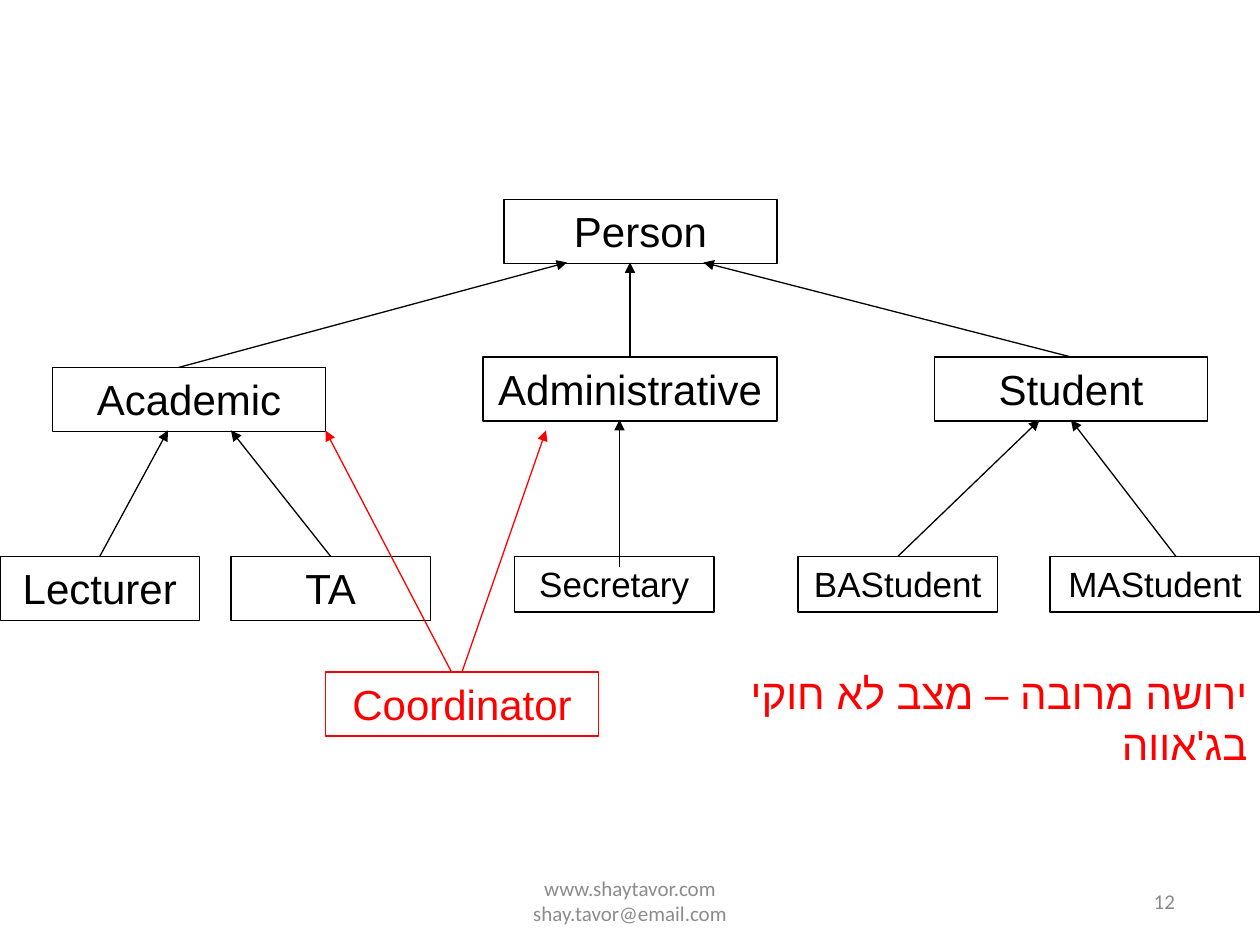
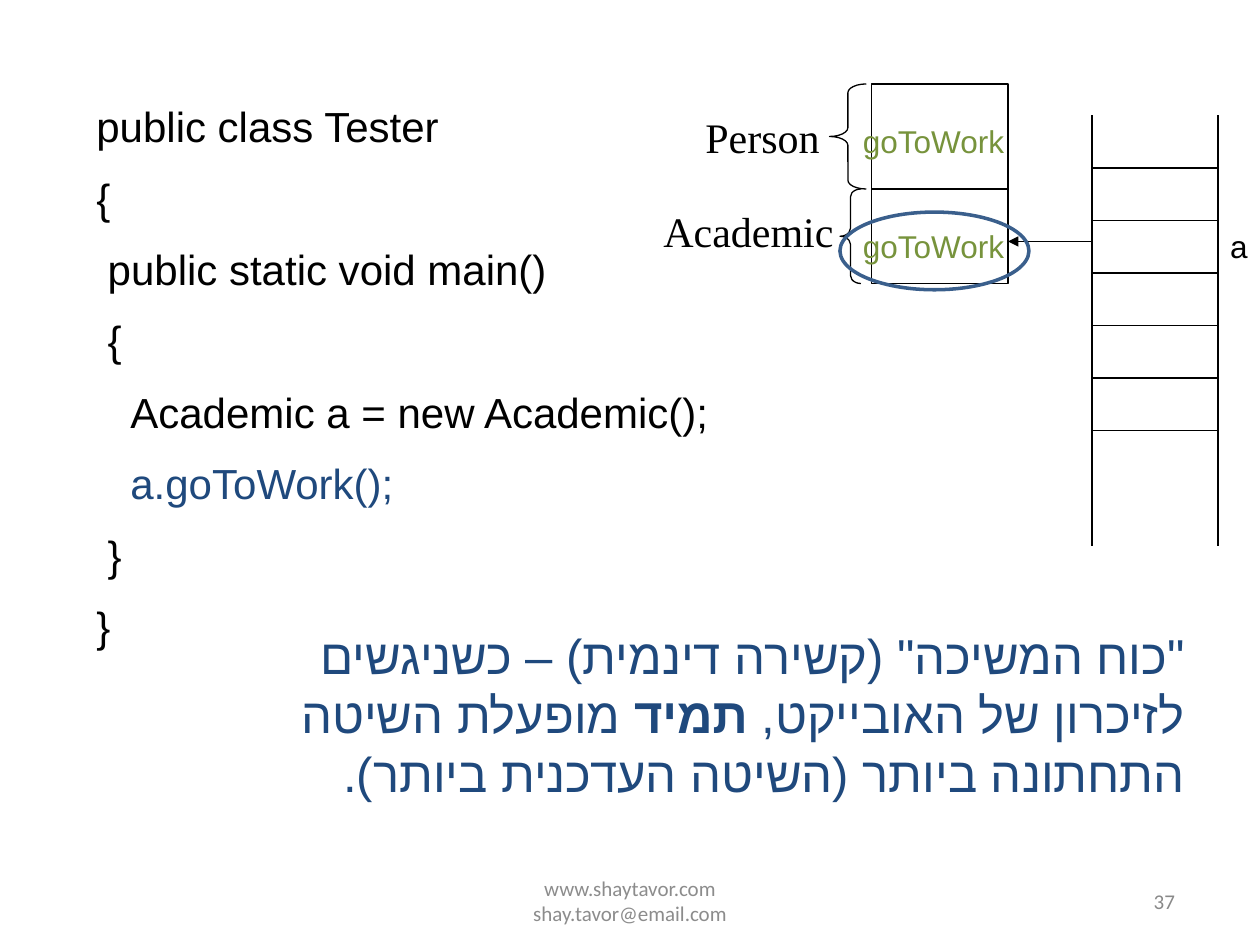
from dataclasses import dataclass

from lxml.etree import SubElement
from pptx import Presentation
from pptx.dml.color import RGBColor
from pptx.enum.shapes import MSO_CONNECTOR as Link, MSO_SHAPE as Shape
from pptx.enum.text import MSO_ANCHOR as Anchor, MSO_AUTO_SIZE as Fit, PP_ALIGN as Align
from pptx.oxml.ns import qn
from pptx.util import Inches, Pt


@dataclass(frozen=True)
class Theme:
    # Colours
    ink: str = "000000"
    paper: str = "FFFFFF"
    alert: str = "FF0000"
    navy: str = "1F497D"
    ring: str = "3A5F8C"
    green: str = "77933C"
    contact: str = "8C8C8C"
    number: str = "898989"
    # Fonts
    body: str = "Arial"
    footer: str = "Calibri"
    label: str = "Times New Roman"
    # Type sizes and line widths in points
    tiny: int = 12
    small: int = 18
    medium: int = 20
    normal: int = 24
    large: int = 28
    thin: float = 0.75
    thick: float = 2


THEME = Theme()
COLUMNS, ROWS = 120, 90
SPACE_WIDTH = 0.09
CONTACT = "www.shaytavor.com\nshay.tavor@email.com"


def write(frame, text, size=THEME.normal, font=THEME.body, color=THEME.ink,
          align=Align.LEFT, rtl=False, spaced=False, indent=0, more=False):
    """Write one paragraph; **marks** give bold and a newline gives a line break."""
    paragraph = frame.add_paragraph() if more else frame.paragraphs[0]
    paragraph.alignment = align
    props = paragraph._p.get_or_add_pPr()
    if rtl:
        props.set("rtl", "1")
    if indent:
        props.set("marL", str(Inches(indent)))
    if spaced:
        before = SubElement(props, qn("a:spcBef"))
        SubElement(before, qn("a:spcPct")).set("val", "50000")
    for row, line in enumerate(text.split("\n")):
        if row:
            paragraph.add_line_break()
        for part, words in enumerate(line.split("**")):
            run = paragraph.add_run()
            run.text = words
            run.font.size, run.font.name = Pt(size), font
            run.font.bold = part % 2 == 1
            run.font.color.rgb = RGBColor.from_string(color)
            SubElement(run._r.get_or_add_rPr(), qn("a:cs")).set("typeface", font)


class Deck:
    """Holds the theme and the current slide; lengths are grid columns and rows."""

    def __init__(self, theme):
        self.theme = theme
        self.show = Presentation()
        self.show.slide_width, self.show.slide_height = Inches(10), Inches(7.5)
        self.slide = None

    def grid(self, column, row):
        return (round(self.show.slide_width * column / COLUMNS),
                round(self.show.slide_height * row / ROWS))

    def page(self, number):
        self.slide = self.show.slides.add_slide(self.show.slide_layouts[6])
        small = dict(size=self.theme.tiny, font=self.theme.footer, rtl=True)
        self.text(41, 83.4, 38, 4.8, CONTACT, anchor=Anchor.MIDDLE, grow=False,
                  color=self.theme.contact, align=Align.CENTER, **small)
        self.text(108.7, 83.4, 5.3, 4.8, number, anchor=Anchor.MIDDLE, grow=False,
                  color=self.theme.number, **small)

    def text(self, x, y, w, h, words=None, anchor=Anchor.TOP, grow=True, **style):
        frame = self.slide.shapes.add_textbox(*self.grid(x, y), *self.grid(w, h)).text_frame
        frame.word_wrap = True
        frame.vertical_anchor = anchor
        frame.auto_size = Fit.SHAPE_TO_FIT_TEXT if grow else Fit.NONE
        if words:
            write(frame, words, **style)
        return frame

    def outline(self, kind, x, y, w, h, color=None, width=None, fill=None, adjust=None):
        figure = self.slide.shapes.add_shape(kind, *self.grid(x, y), *self.grid(w, h))
        figure.shadow.inherit = False
        if fill:
            figure.fill.solid()
            figure.fill.fore_color.rgb = RGBColor.from_string(fill)
        else:
            figure.fill.background()
        figure.line.color.rgb = RGBColor.from_string(color or self.theme.ink)
        figure.line.width = Pt(width or self.theme.thin)
        if adjust:
            figure.adjustments[0] = adjust
        return figure

    def class_box(self, name, x, y, w, size, color):
        height = 6.1 if size == self.theme.normal else 5.3
        box = self.outline(Shape.RECTANGLE, x, y, w, height, color)
        frame = box.text_frame
        frame.word_wrap = True
        frame.vertical_anchor = Anchor.TOP
        frame.auto_size = Fit.SHAPE_TO_FIT_TEXT
        write(frame, name, size=size, color=color, align=Align.CENTER, rtl=True, spaced=True)
        return box

    def line(self, start, end, color=None, arrow=False, source=None):
        """Draw a line; a source box makes it start at that box's top middle."""
        link = self.slide.shapes.add_connector(
            Link.STRAIGHT, *self.grid(*start), *self.grid(*end))
        if source is not None:
            link.begin_connect(source, 0)
        link.line.color.rgb = RGBColor.from_string(color or self.theme.ink)
        link.line.width = Pt(self.theme.thin)
        if arrow:
            SubElement(link.line._get_or_add_ln(), qn("a:tailEnd")).set("type", "triangle")
        SubElement(link._element.spPr, qn("a:effectLst"))


def inheritance_slide(deck):
    theme = deck.theme
    deck.page("12")

    # Classes: name, left, top, width, type size
    classes = [
        ("Person", 48, 19, 26, theme.normal),
        ("Student", 89, 34, 26, theme.normal),
        ("Administrative", 46, 34, 28, theme.normal),
        ("Academic", 5, 35, 26, theme.normal),
        ("TA", 22, 53, 19, theme.normal),
        ("Lecturer", 0, 53, 19, theme.normal),
        ("Secretary", 49, 53, 19, theme.medium),
        ("MAStudent", 100, 53, 20, theme.medium),
        ("BAStudent", 76, 53, 19, theme.medium),
        ("Coordinator", 31, 64, 26, theme.normal),
    ]
    boxes = {}
    for name, x, y, w, size in classes:
        color = theme.alert if name == "Coordinator" else theme.ink
        boxes[name] = deck.class_box(name, x, y, w, size, color)

    # Arrows to the parent class: start, end, box joined at its top middle
    parents = [
        ((60, 34), (60, 25), "Administrative"),
        ((17, 35), (54, 25), None),
        ((102, 34), (67, 25), "Student"),
        ((9, 53), (16, 41), "Lecturer"),
        ((31, 53), (22, 41), "TA"),
        ((59, 54), (59, 40), None),
        ((85, 53), (99, 40), "BAStudent"),
        ((112, 53), (102, 40), None),
    ]
    for start, end, child in parents:
        deck.line(start, end, arrow=True, source=boxes.get(child))

    # Forbidden double inheritance
    deck.line((44, 64), (52, 41), theme.alert, arrow=True, source=boxes["Coordinator"])
    deck.line((43, 64), (31, 41), theme.alert, arrow=True)
    deck.text(59, 63, 61, 6, "ירושה מרובה – מצב לא חוקי בג'אווה", color=theme.alert,
              align=Align.RIGHT, rtl=True, spaced=True)


def binding_slide(deck):
    theme = deck.theme
    deck.page("37")

    # Code, each line with its indent in spaces
    code = [
        (0, "public class Tester"), (0, "{"),
        (1, "public static void main()"), (1, "{"),
        (3, "Academic a = new Academic();"), (3, "a.goToWork();"),
        (1, "}"), (0, "}"),
    ]
    listing = deck.text(8, 9, 64, 57)
    for place, (spaces, words) in enumerate(code):
        write(listing, words, color=theme.navy if words.startswith("a.") else theme.ink,
              spaced=True, indent=spaces * SPACE_WIDTH, more=place > 0)

    # Stack memory
    stack_left, stack_right = 104, 116
    for side in (stack_right, stack_left):
        deck.line((side, 11), (side, 52))
    for level in range(16, 42, 5):
        deck.line((stack_left, level), (stack_right, level))
    deck.text(113, 21, 7, 4.8, "a", size=theme.small, align=Align.RIGHT, rtl=True, spaced=True)

    # Object in memory, one part per class
    deck.outline(Shape.RECTANGLE, 83, 8, 13, 19, fill=theme.paper)
    deck.line((83, 18), (96, 18))
    deck.outline(Shape.LEFT_BRACE, 79, 8, 3.5, 10, adjust=0.24)
    deck.outline(Shape.LEFT_BRACE, 80, 18, 2, 9, adjust=0.38)
    deck.text(66, 10, 14, 7, "Person", font=theme.label, grow=False)
    deck.text(62, 19, 19, 8.6, "Academic", font=theme.label, grow=False)
    deck.line((stack_left, 23), (96, 23), arrow=True)
    for method_top in (11, 21):
        deck.text(81, method_top, 19, 4.8, "goToWork", size=theme.small,
                  color=theme.green, spaced=True)

    # Rule of dynamic binding
    deck.text(21, 59, 93, 18.1,
              '"כוח המשיכה" (קשירה דינמית) – כשניגשים לזיכרון של האובייקט, '
              '**תמיד** מופעלת השיטה התחתונה ביותר (השיטה העדכנית ביותר).',
              size=theme.large, color=theme.navy, align=Align.RIGHT, rtl=True)
    deck.outline(Shape.OVAL, 80, 20.2, 18, 7.4, theme.ring, theme.thick)


def main():
    deck = Deck(THEME)
    inheritance_slide(deck)
    binding_slide(deck)
    deck.show.save("out.pptx")


if __name__ == "__main__":
    main()
